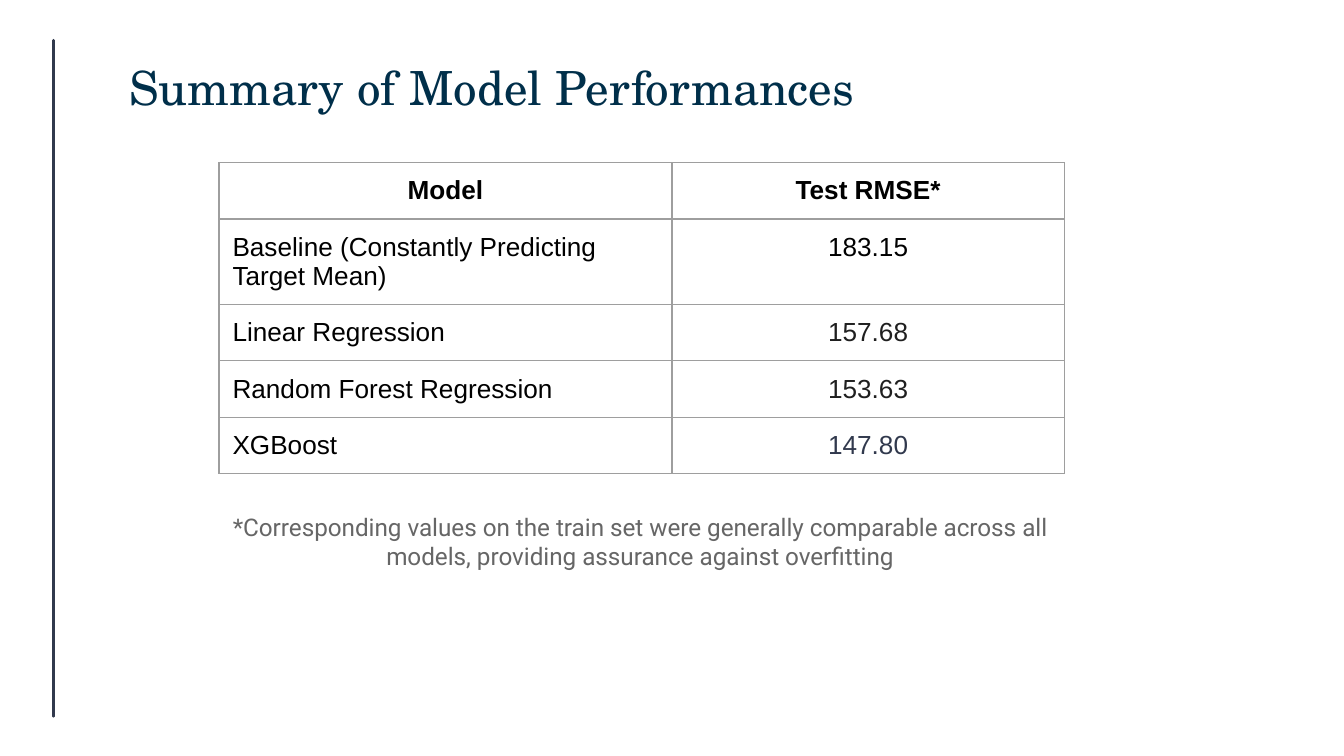
from lxml import etree
from pptx import Presentation
from pptx.dml.color import RGBColor
from pptx.enum.shapes import MSO_CONNECTOR
from pptx.enum.text import MSO_ANCHOR, MSO_AUTO_SIZE, PP_ALIGN
from pptx.oxml.ns import qn
from pptx.util import Inches, Pt

LEFT, CENTER = PP_ALIGN.LEFT, PP_ALIGN.CENTER
MIDDLE, TOP = MSO_ANCHOR.MIDDLE, MSO_ANCHOR.TOP
FIT_SHAPE, NO_FIT = MSO_AUTO_SIZE.SHAPE_TO_FIT_TEXT, MSO_AUTO_SIZE.NONE
STRAIGHT = MSO_CONNECTOR.STRAIGHT

BLACK, SLATE, BORDER = "000000", "31394D", "9E9E9E"
TITLE_FONT = {"name": "TeX Gyre Schola", "size": Pt(25.2), "bold": False}
TABLE_FONT = {"name": "Arial", "size": Pt(14)}
NOTE_FONT = {"name": "Roboto", "size": Pt(13)}

SLIDE_WIDTH = 10
COLUMN_WIDTHS = [3.37, 2.92]
ROW_HEIGHT = 0.41  # rows grow to fit their text
# Model, test RMSE, colour of the value
RESULTS = [
    ("Model", "Test RMSE*", BLACK),
    ("Baseline (Constantly Predicting Target Mean)", "183.15", BLACK),
    ("Linear Regression", "157.68", "1F1F1F"),
    ("Random Forest Regression", "153.63", "1F1F1F"),
    ("XGBoost", "147.80", SLATE),
]


def color(value):
    return RGBColor.from_string(value)


def write_text(frame, text, font_format, text_color, align=LEFT):
    para = frame.paragraphs[0]
    para.alignment = align
    span = para.add_run()
    span.text = text
    for name, value in font_format.items():
        setattr(span.font, name, value)
    span.font.color.rgb = color(text_color)


def set_margins(target):
    for side in ("left", "right", "top", "bottom"):
        setattr(target, f"margin_{side}", Inches(0.1))


def format_frame(frame, anchor, auto_size):
    set_margins(frame)
    settings = {"word_wrap": True, "auto_size": auto_size, "vertical_anchor": anchor}
    for name, value in settings.items():
        setattr(frame, name, value)


def add_rule(page):
    rule = page.shapes.add_connector(
        STRAIGHT, Inches(0.4), Inches(0.3), Inches(0.4), Inches(5.33))
    rule.line.color.rgb = color(SLATE)
    rule.line.width = Pt(1.5)
    properties = rule._element.spPr
    properties.find(qn("a:ln")).set("cap", "rnd")
    etree.SubElement(properties, qn("a:effectLst"))


def add_title(page, text):
    title = page.shapes.title
    title.left, title.top = Inches(0.86), Inches(0.41)
    title.width, title.height = Inches(6.02), Inches(0.47)
    format_frame(title.text_frame, MIDDLE, NO_FIT)
    write_text(title.text_frame, text, TITLE_FONT, "002F4A")


def add_borders(cell):
    properties = cell._tc.get_or_add_tcPr()
    for tag in ("a:lnL", "a:lnR", "a:lnT", "a:lnB"):
        edge = etree.SubElement(properties, qn(tag), w=str(Pt(0.75)))
        fill = etree.SubElement(edge, qn("a:solidFill"))
        etree.SubElement(fill, qn("a:srgbClr"), val=BORDER)


def fill_cell(cell, text, text_color, align, bold):
    set_margins(cell)
    cell.vertical_anchor = TOP
    add_borders(cell)
    cell.fill.background()
    write_text(cell.text_frame, text, {**TABLE_FONT, "bold": bold}, text_color, align)


def add_results_table(page):
    table = page.shapes.add_table(
        len(RESULTS), len(COLUMN_WIDTHS), Inches(1.63), Inches(1.21),
        Inches(sum(COLUMN_WIDTHS)), Inches(ROW_HEIGHT * len(RESULTS))).table
    table.first_row = table.horz_banding = False
    for column, width in zip(table.columns, COLUMN_WIDTHS):
        column.width = Inches(width)
    for index, (model, error, error_color) in enumerate(RESULTS):
        header = index == 0
        fill_cell(table.cell(index, 0), model, BLACK, CENTER if header else LEFT, header)
        fill_cell(table.cell(index, 1), error, error_color, CENTER, header)


def add_note(page, text):
    box = page.shapes.add_textbox(Inches(1.62), Inches(3.71), Inches(6.28), Inches(0.64))
    format_frame(box.text_frame, TOP, FIT_SHAPE)
    write_text(box.text_frame, text, NOTE_FONT, "666666", CENTER)


def main():
    deck = Presentation()
    deck.slide_width = Inches(SLIDE_WIDTH)
    deck.slide_height = Inches(SLIDE_WIDTH * 9 / 16)
    page = deck.slides.add_slide(deck.slide_layouts[5])  # title only

    # Side rule and heading
    add_rule(page)
    add_title(page, "Summary of Model Performances")

    # Results and footnote
    add_results_table(page)
    add_note(page, "*Corresponding values on the train set were generally comparable "
                   "across all models, providing assurance against overfitting")

    deck.save("out.pptx")


if __name__ == "__main__":
    main()
